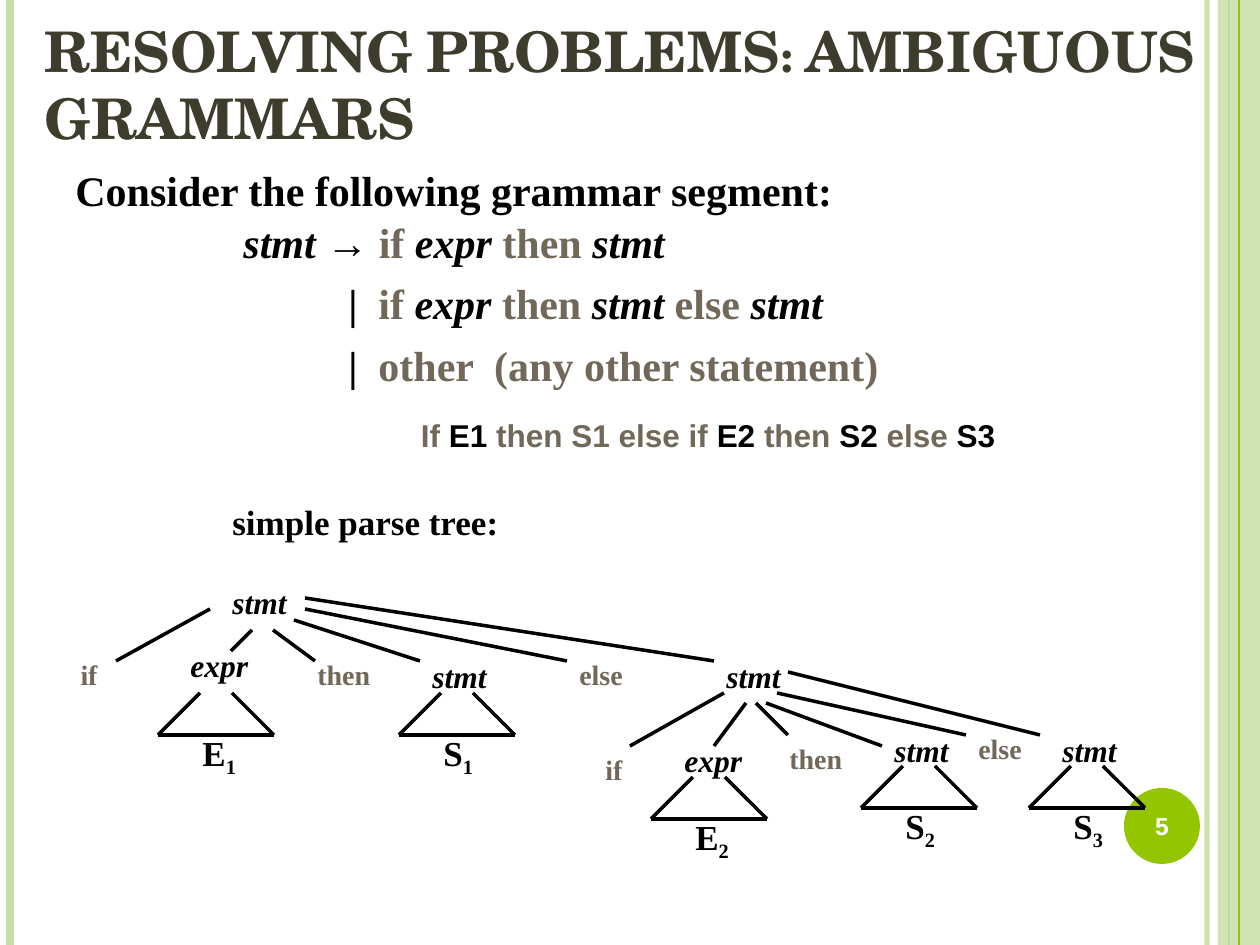
from lxml import etree
from pptx import Presentation
from pptx.dml.color import RGBColor
from pptx.enum.shapes import MSO_CONNECTOR, MSO_SHAPE
from pptx.enum.text import MSO_ANCHOR, MSO_AUTO_SIZE, PP_ALIGN
from pptx.oxml.ns import qn
from pptx.util import Emu, Pt

PX = 914400 // 126
WIDTH, HEIGHT = 1260, 945

BLACK = RGBColor(0x00, 0x00, 0x00)
WHITE = RGBColor(0xFF, 0xFF, 0xFF)
TITLE_OLIVE = RGBColor(0x3E, 0x3D, 0x2D)
KEYWORD_BROWN = RGBColor(0x71, 0x68, 0x5A)
PALE_GREEN = RGBColor(0xC8, 0xDF, 0xAA)
GREEN = RGBColor(0x94, 0xC6, 0x00)
SERIF, SANS, TITLE_FONT = "Times New Roman", "Arial", "TeX Gyre Schola"

# x, line width in points, colour, opacity in percent
STRIPES = [(1207, 3, PALE_GREEN, 93), (10, 4.5, PALE_GREEN, 100), (1229, 1.5, GREEN, 100)]

# left and top of each node label
NONTERMINALS = [
    ("stmt", 220, 577), ("expr", 178, 640), ("stmt", 420, 651), ("stmt", 714, 651),
    ("expr", 672, 735), ("stmt", 882, 725), ("stmt", 1050, 725),
]
KEYWORDS = [
    ("if", 42, 651), ("then", 305, 651), ("else", 567, 651),
    ("if", 567, 746), ("then", 777, 735), ("else", 966, 725),
]
# letter, index, left of the base, top
SUBTREES = [
    ("E", 1, 158, 693), ("S", 1, 399, 693), ("E", 2, 651, 777),
    ("S", 2, 861, 766), ("S", 3, 1029, 766),
]
BRANCHES = [
    (210, 609, 116, 661), (252, 630, 231, 651), (273, 630, 315, 661),
    (294, 620, 420, 661), (305, 609, 567, 661), (305, 598, 714, 661),
    (724, 693, 630, 746), (746, 703, 714, 746), (756, 703, 788, 735),
    (766, 703, 882, 746), (777, 693, 966, 735), (788, 672, 1040, 735),
]


def px(*lengths):
    return [Emu(length * PX) for length in lengths]


def keyword(text):
    return text, KEYWORD_BROWN, False


def nonterminal(text):
    return text, BLACK, True


def plain(text, color=BLACK):
    return text, color, False


def set_opacity(fill_parent, percent):
    color = fill_parent.find(".//" + qn("a:srgbClr"))
    etree.SubElement(color, qn("a:alpha")).set("val", str(percent * 1000))


def add_line(slide, x1, y1, x2, y2, width=2, color=BLACK):
    line = slide.shapes.add_connector(MSO_CONNECTOR.STRAIGHT, *px(x1, y1, x2, y2))
    line.line.width = Pt(width)
    line.line.color.rgb = color
    etree.SubElement(line._element.spPr, qn("a:effectLst"))
    return line


def add_panel(slide, preset, bounds, color):
    panel = slide.shapes.add_shape(preset, *px(*bounds))
    panel.shadow.inherit = False
    panel.fill.solid()
    panel.fill.fore_color.rgb = color
    panel.line.fill.background()
    return panel


def write_runs(paragraph, parts, size, font=SERIF):
    for text, color, italic in parts:
        run = paragraph.add_run()
        run.text = text
        run.font.name = font
        run.font.size = Pt(size)
        run.font.bold = True
        run.font.italic = italic
        run.font.color.rgb = color


def add_text(slide, bounds, parts, size, font=SERIF, align=PP_ALIGN.LEFT):
    box = slide.shapes.add_textbox(*px(*bounds))
    box.text_frame.word_wrap = True
    paragraph = box.text_frame.paragraphs[0]
    paragraph.alignment = align
    write_runs(paragraph, parts, size, font)
    return box


def add_title(slide):
    title = slide.shapes.title
    title.left, title.top, title.width, title.height = px(32, 10, 1228, 147)
    frame = title.text_frame
    frame.text = "RESOLVING PROBLEMS: AMBIGUOUS GRAMMARS"
    frame.word_wrap = True
    frame.auto_size = MSO_AUTO_SIZE.NONE
    frame.vertical_anchor = MSO_ANCHOR.BOTTOM
    paragraph = frame.paragraphs[0]
    paragraph.alignment = PP_ALIGN.LEFT
    run = paragraph.runs[0]
    run.font.name = TITLE_FONT
    run.font.size = Pt(32)
    run.font.bold = True
    run.font.color.rgb = TITLE_OLIVE
    run._r.get_or_add_rPr().set("cap", "small")


def add_border(slide):
    for x, width, color, opacity in STRIPES:
        stripe = add_line(slide, x, 0, x, HEIGHT, width, color)
        if opacity < 100:
            set_opacity(stripe._element.spPr, opacity)
    band = add_panel(slide, MSO_SHAPE.RECTANGLE, (1218, 0, 42, HEIGHT), PALE_GREEN)
    set_opacity(band._element.spPr, 87)
    add_line(slide, 1239, 0, 1239, HEIGHT, 0.75, GREEN)
    add_panel(slide, MSO_SHAPE.OVAL, (1124, 788, 76, 76), GREEN)


def add_grammar(slide):
    first = [nonterminal("stmt"), plain(" → "), keyword("if "), nonterminal("expr "),
             keyword("then "), nonterminal("stmt")]
    alternatives = [
        [keyword("if "), nonterminal("expr "), keyword("then "), nonterminal("stmt "),
         keyword("else "), nonterminal("stmt")],
        [keyword("other  (any other statement)")],
    ]
    frame = add_text(slide, (231, 220, 714, 184), first, 24).text_frame
    for alternative in alternatives:
        paragraph = frame.add_paragraph()
        paragraph.space_before = Pt(12)
        write_runs(paragraph, [plain("|\t")] + alternative, 24)
        # Hanging indent: the bar stands out to the left of the alternative
        margin, hang = px(135, -30)
        properties = paragraph._p.get_or_add_pPr()
        properties.set("marL", str(margin))
        properties.set("indent", str(hang))
    for paragraph in frame.paragraphs:
        paragraph.line_spacing = 0.8


def add_subtree(slide, letter, index, left, top):
    """Draw the triangle that stands for a collapsed subtree, with its label."""
    base, right = top + 42, left + 116
    add_line(slide, left + 42, top, left, base)
    add_line(slide, right - 42, top, right, base)
    add_line(slide, left, base, right, base)
    label = add_text(slide, (left + 32, top + 32, 63, 54),
                     [plain(letter), plain(str(index))], 20)
    subscript = label.text_frame.paragraphs[0].runs[1]
    subscript._r.get_or_add_rPr().set("baseline", "-25000")


def add_parse_tree(slide):
    for word, left, top in NONTERMINALS:
        add_text(slide, (left, top, 94, 50), [nonterminal(word)], 18)
    for subtree in SUBTREES:
        add_subtree(slide, *subtree)
    for word, left, top in KEYWORDS:
        align = PP_ALIGN.CENTER if word == "if" else PP_ALIGN.LEFT
        add_text(slide, (left, top, 94, 47), [keyword(word)], 16, align=align)
    for branch in BRANCHES:
        add_line(slide, *branch)


def main():
    deck = Presentation()
    deck.slide_width, deck.slide_height = px(WIDTH, HEIGHT)
    slide = deck.slides.add_slide(deck.slide_layouts[5])
    add_border(slide)
    add_title(slide)
    add_text(slide, (63, 158, 1018, 63), [plain("Consider the following grammar segment:")], 24)
    add_grammar(slide)
    sentence = [keyword("If "), plain("E1 "), keyword("then S1 else if "), plain("E2 "),
                keyword("then "), plain("S2 "), keyword("else "), plain("S3")]
    add_text(slide, (199, 410, 1018, 50), sentence, 18, SANS, PP_ALIGN.CENTER)
    add_text(slide, (220, 494, 609, 54), [plain("simple parse tree:")], 20)
    add_parse_tree(slide)
    number = add_text(slide, (1120, 790, 84, 72), [plain("5", WHITE)], 14, SANS, PP_ALIGN.CENTER)
    number.text_frame.vertical_anchor = MSO_ANCHOR.MIDDLE
    deck.save("out.pptx")


if __name__ == "__main__":
    main()
